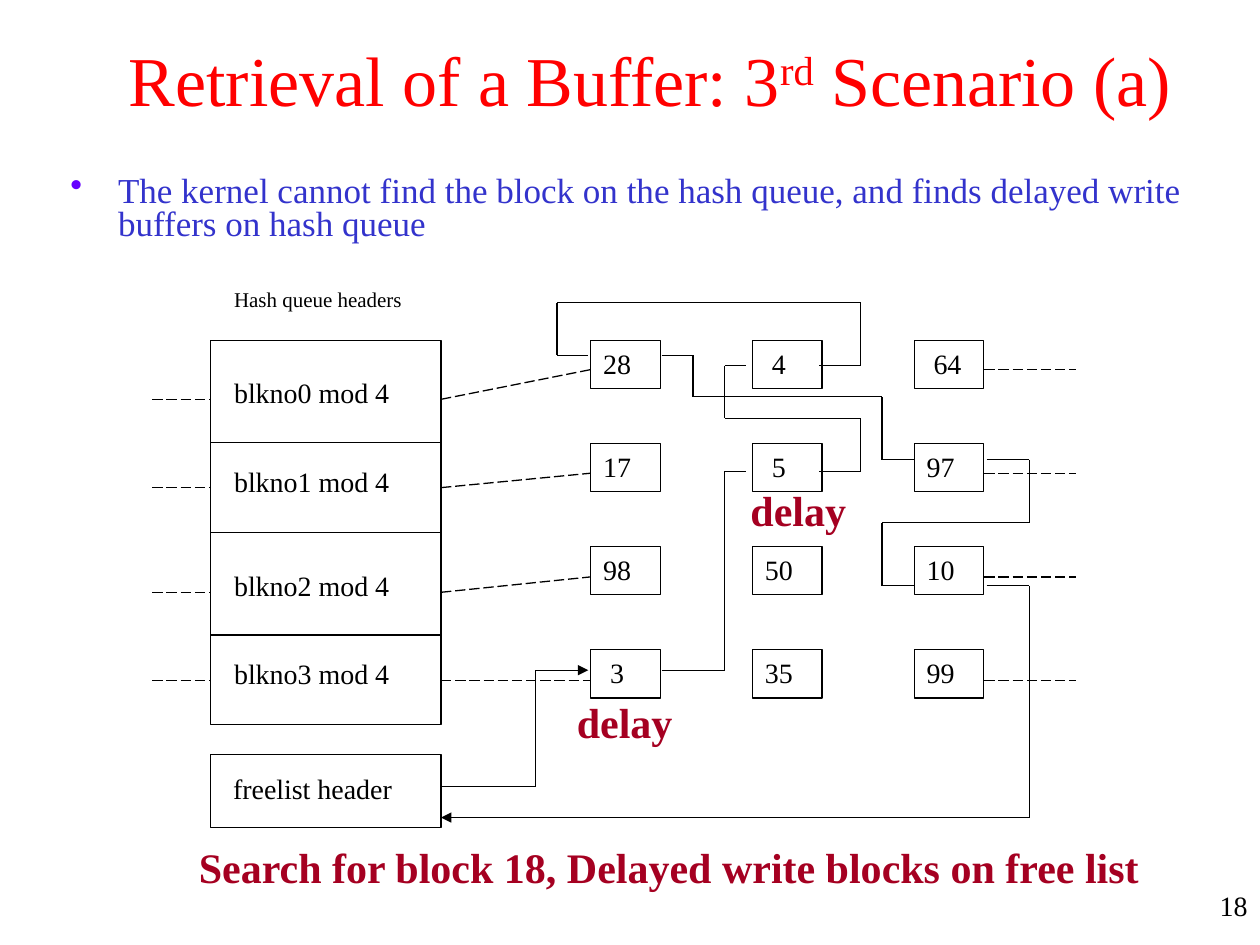
"""Build the slide on buffer retrieval, third scenario (a)."""
from itertools import pairwise

from lxml.etree import SubElement
from pptx import Presentation
from pptx.dml.color import RGBColor
from pptx.enum.dml import MSO_LINE
from pptx.enum.shapes import MSO_CONNECTOR, MSO_SHAPE
from pptx.enum.text import MSO_ANCHOR, PP_ALIGN
from pptx.oxml.ns import qn
from pptx.util import Cm, Pt

COLORS = {"black": "000000", "title": "FF0000", "body": "3333CC",
          "bullet": "6600FF", "accent": "A50021"}
FONT = "Times New Roman"
LABEL = {"size": Pt(16)}
ACCENT = {"size": Pt(24), "bold": True}

CELLS = [["28", "4", "64"], ["17", "5", "97"], ["98", "50", "10"], ["3", "35", "99"]]
INDENTED = {"4", "64", "5", "3"}
CELL_X, CELL_DX, CELL_W = 11.91, 3.26, 1.4
CELL_Y, ROW_DY, CELL_H = 6.86, 2.08, 0.97

HEAD_X, HEAD_W = 4.24, 4.65
HEAD_RIGHT = HEAD_X + HEAD_W
DIVIDERS_Y = [8.92, 10.74, 12.8]
LABELS_Y = [7.44, 9.25, 11.33, 13.11]
HEAD_LINKS_Y = [8.05, 9.83, 11.94, 13.72]

FREELIST_ROUTES = [
    [(HEAD_RIGHT, 15.85), (10.8, 15.85), (10.8, 13.51), (11.86, 13.51)],
    [(13.34, 13.51), (14.61, 13.51), (14.61, 9.5), (15.04, 9.5)],
    [(16.51, 9.5), (17.35, 9.5), (17.35, 8.43), (14.61, 8.43),
     (14.61, 7.37), (15.04, 7.37)],
    [(16.51, 7.37), (17.35, 7.37), (17.35, 6.1), (11.23, 6.1),
     (11.23, 7.16), (11.86, 7.16)],
    [(13.34, 7.16), (13.97, 7.16), (13.97, 8), (17.78, 8),
     (17.78, 9.27), (18.42, 9.27)],
    [(19.89, 9.27), (20.75, 9.27), (20.75, 10.54), (17.78, 10.54),
     (17.78, 11.81), (18.42, 11.81)],
    [(19.89, 11.81), (20.75, 11.81), (20.75, 16.48), (HEAD_RIGHT, 16.48)],
]


def rgb(name):
    """Return the named colour."""
    return RGBColor.from_string(COLORS[name])


def add_run(p, text, color, fmt):
    """Append a formatted run to a paragraph."""
    r = p.add_run()
    r.text = text
    for key, value in {"name": FONT, **fmt}.items():
        setattr(r.font, key, value)
    r.font.color.rgb = rgb(color)
    return r


def add_text(s, box, text, fmt, color="black", wrap=False, align=PP_ALIGN.LEFT):
    """Add a text box and return its text frame."""
    tf = s.shapes.add_textbox(*map(Cm, box)).text_frame
    tf.word_wrap = wrap
    p = tf.paragraphs[0]
    p.alignment = align
    add_run(p, text, color, fmt)
    return tf


def add_title(s):
    """Add the title with its raised ordinal."""
    fmt = {"size": Pt(40)}
    tf = add_text(s, (1.75, 0, 22.71, 3.18), "Retrieval of a Buffer: 3", fmt,
                  "title", True, PP_ALIGN.CENTER)
    tf.vertical_anchor = MSO_ANCHOR.MIDDLE
    p = tf.paragraphs[0]
    r = add_run(p, "rd", "title", fmt)
    r.font._element.set("baseline", "30000")
    add_run(p, " Scenario (a)", "title", fmt)


def add_bullet(s):
    """Add the bulleted statement."""
    tf = add_text(s, (1.17, 3.43, 23.06, 1.85),
                  "The kernel cannot find the block on the hash queue, "
                  "and finds delayed write buffers on hash queue",
                  {"size": Pt(20)}, "body", True)
    p = tf.paragraphs[0]
    p.line_spacing = 0.8
    pPr = p._p.get_or_add_pPr()
    pPr.set("marL", str(Cm(0.96)))
    pPr.set("indent", str(-Cm(0.96)))
    clr = SubElement(pPr, qn("a:buClr"))
    SubElement(clr, qn("a:srgbClr"), val=COLORS["bullet"])
    SubElement(pPr, qn("a:buChar"), char="•")


def add_box(s, x, y, w, h):
    """Add an unfilled outlined rectangle."""
    box = s.shapes.add_shape(MSO_SHAPE.RECTANGLE, Cm(x), Cm(y), Cm(w), Cm(h))
    box.shadow.inherit = False
    box.fill.background()
    box.line.color.rgb = rgb("black")
    box.line.width = Pt(0.75)
    return box


def add_cell(s, x, y, text):
    """Add a numbered buffer."""
    tf = add_box(s, x, y, CELL_W, CELL_H).text_frame
    tf.margin_left = Cm(0.39 if text in INDENTED else 0.25)
    tf.vertical_anchor = MSO_ANCHOR.TOP
    p = tf.paragraphs[0]
    p.alignment = PP_ALIGN.LEFT
    add_run(p, text, "black", LABEL)


def add_line(s, start, end, dashed=False, arrow=False):
    """Add a straight line, dashed or with an arrowhead on request."""
    c = s.shapes.add_connector(MSO_CONNECTOR.STRAIGHT, *map(Cm, (*start, *end)))
    c.line.color.rgb = rgb("black")
    c.line.width = Pt(0.75)
    if dashed:
        c.line.dash_style = MSO_LINE.LONG_DASH
    if arrow:
        SubElement(c.line._get_or_add_ln(), qn("a:tailEnd"), type="triangle")
    SubElement(c._element.spPr, qn("a:effectLst"))


def add_route(s, points, arrow):
    """Add a chain of lines through the points."""
    for start, end in pairwise(points):
        add_line(s, start, end, arrow=arrow and end == points[-1])


def add_headers(s):
    """Add the hash queue headers and the freelist header."""
    add_text(s, (4.47, 5.66, 3.89, 0.76), "Hash queue headers", {"size": Pt(12)})
    add_box(s, HEAD_X, CELL_Y, HEAD_W, 7.75)
    for y in DIVIDERS_Y:
        add_line(s, (HEAD_X, y), (HEAD_RIGHT, y))
    for i, y in enumerate(LABELS_Y):
        add_text(s, (4.47, y, 3.63, 0.94), f"blkno{i} mod 4", LABEL)
    add_box(s, HEAD_X, 15.21, HEAD_W, 1.47)
    add_text(s, (4.45, 15.42, 3.73, 0.94), "freelist header", LABEL)


def add_queues(s):
    """Add the buffers of each queue and their dashed links."""
    for i, (row, head_y) in enumerate(zip(CELLS, HEAD_LINKS_Y)):
        for j, text in enumerate(row):
            add_cell(s, CELL_X + j * CELL_DX, CELL_Y + i * ROW_DY, text)
        y = 7.45 + i * 2.09
        add_line(s, (3.07, head_y), (HEAD_X, head_y), dashed=True)
        add_line(s, (HEAD_RIGHT, head_y), (CELL_X, y), dashed=True)
        add_line(s, (19.84, y), (21.69, y), dashed=True)


def main():
    """Build and save the slide."""
    prs = Presentation()
    prs.slide_width, prs.slide_height = Cm(25.4), Cm(19.05)
    s = prs.slides.add_slide(prs.slide_layouts[6])
    add_text(s, (24.21, 17.78, 1.19, 1.27), "18", LABEL, align=PP_ALIGN.RIGHT)
    add_title(s)
    add_bullet(s)
    add_headers(s)
    add_queues(s)
    for route in FREELIST_ROUTES:
        add_route(s, route, route in (FREELIST_ROUTES[0], FREELIST_ROUTES[-1]))
    add_text(s, (3.76, 16.84, 19.51, 1.27),
             "Search for block 18, Delayed write blocks on free list", ACCENT, "accent")
    for x, y in [(11.38, 13.92), (14.88, 9.65)]:
        add_text(s, (x, y, 2.44, 1.27), "delay", ACCENT, "accent")
    prs.save("out.pptx")


if __name__ == "__main__":
    main()
